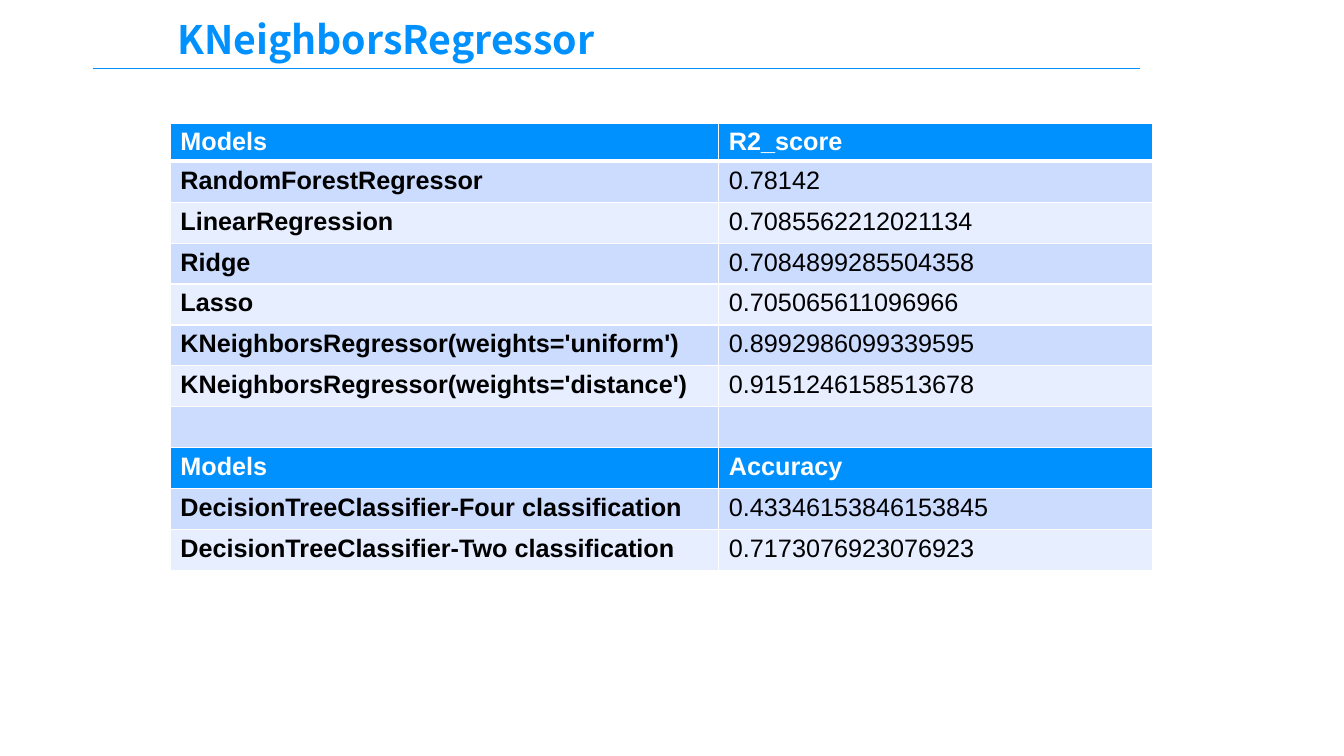
"""Build the slide that compares the scores of the regression and classification models."""
import dataclasses

import lxml.etree
import pptx
import pptx.dml.color
import pptx.enum.shapes
import pptx.enum.text
import pptx.oxml.ns
import pptx.util

Inches = pptx.util.Inches
Pt = pptx.util.Pt
qn = pptx.oxml.ns.qn

BLUE, WHITE, BLACK = "0091FE", "FFFFFF", "000000"
BANDS = ("CCDCFF", "E7EEFF")
HEADER_HEIGHT, ROW_HEIGHT = 0.37, 0.406
COLUMN_WIDTHS = (5.44, 4.3)


@dataclasses.dataclass(frozen=True)
class ScoreRow:
    model: str
    score: str
    heading: bool = False


SCORES = (
    ScoreRow("Models", "R2_score", heading=True),
    ScoreRow("RandomForestRegressor", "0.78142"),
    ScoreRow("LinearRegression", "0.7085562212021134"),
    ScoreRow("Ridge", "0.7084899285504358"),
    ScoreRow("Lasso", "0.705065611096966"),
    ScoreRow("KNeighborsRegressor(weights='uniform')", "0.8992986099339595"),
    ScoreRow("KNeighborsRegressor(weights='distance')", "0.9151246158513678"),
    ScoreRow("", ""),
    ScoreRow("Models", "Accuracy", heading=True),
    ScoreRow("DecisionTreeClassifier-Four classification", "0.43346153846153845"),
    ScoreRow("DecisionTreeClassifier-Two classification", "0.7173076923076923"),
)


def color(value: str) -> pptx.dml.color.RGBColor:
    return pptx.dml.color.RGBColor.from_string(value)


def apply_format(target: object, values: dict[str, object]) -> None:
    for name, value in values.items():
        setattr(target, name, value)


def write(paragraph, text: str, ink: str, **font_values: object) -> None:
    run = paragraph.add_run()
    run.text = text
    apply_format(run.font, font_values)
    run.font.color.rgb = color(ink)


def add_border(cell, side: str, points: float) -> None:
    properties = cell._tc.get_or_add_tcPr()
    edge = lxml.etree.SubElement(properties, qn(f"a:ln{side}"), w=str(Pt(points)))
    fill = lxml.etree.SubElement(edge, qn("a:solidFill"))
    lxml.etree.SubElement(fill, qn("a:srgbClr"), val=WHITE)


def add_title(slide) -> None:
    title = slide.shapes.title
    apply_format(title, {"left": Inches(1.69), "top": Inches(0.23),
                         "width": Inches(5.17), "height": Inches(0.37)})
    apply_format(title.text_frame, {
        "margin_left": Inches(0.07), "margin_right": Inches(0.07),
        "margin_top": Inches(0.04), "margin_bottom": Inches(0.04),
        "vertical_anchor": pptx.enum.text.MSO_ANCHOR.MIDDLE,
        "auto_size": pptx.enum.text.MSO_AUTO_SIZE.NONE, "word_wrap": True})
    heading = title.text_frame.paragraphs[0]
    apply_format(heading, {"alignment": pptx.enum.text.PP_ALIGN.LEFT, "line_spacing": 0.9})
    write(heading, "KNeighborsRegressor", BLUE, size=Pt(28), name="Noto Sans CJK SC", bold=True)


def add_title_rule(slide) -> None:
    rule = slide.shapes.add_connector(
        pptx.enum.shapes.MSO_CONNECTOR.STRAIGHT,
        Inches(0.92), Inches(0.68), Inches(11.31), Inches(0.68))
    rule.line.color.rgb = color(BLUE)
    rule.line.width = Pt(1.25)
    lxml.etree.SubElement(rule._element.spPr, qn("a:effectLst"))


def add_scores(slide) -> None:
    height = HEADER_HEIGHT + ROW_HEIGHT * (len(SCORES) - 1)
    scores = slide.shapes.add_table(
        len(SCORES), len(COLUMN_WIDTHS), Inches(1.69), Inches(1.22),
        Inches(sum(COLUMN_WIDTHS)), Inches(height)).table
    for column, width in zip(scores.columns, COLUMN_WIDTHS):
        column.width = Inches(width)
    for index, entry in enumerate(SCORES):
        scores.rows[index].height = Inches(ROW_HEIGHT if index else HEADER_HEIGHT)
        background = BLUE if entry.heading else BANDS[(index - 1) % 2]
        for position, text in enumerate((entry.model, entry.score)):
            cell = scores.cell(index, position)
            for side in "LRTB":
                under_header = (index, side) in ((0, "B"), (1, "T"))
                add_border(cell, side, 3 if under_header else 1)
            cell.fill.solid()
            cell.fill.fore_color.rgb = color(background)
            if text:
                write(cell.text_frame.paragraphs[0], text,
                      WHITE if entry.heading else BLACK, size=Pt(18), name="Arial",
                      bold=entry.heading or position == 0)


def main() -> None:
    deck = pptx.Presentation()
    apply_format(deck, {"slide_width": Inches(13.33), "slide_height": Inches(7.5)})
    slide = deck.slides.add_slide(deck.slide_layouts.get_by_name("Title Only"))
    add_title_rule(slide)
    add_title(slide)
    add_scores(slide)
    deck.save("out.pptx")


if __name__ == "__main__":
    main()
